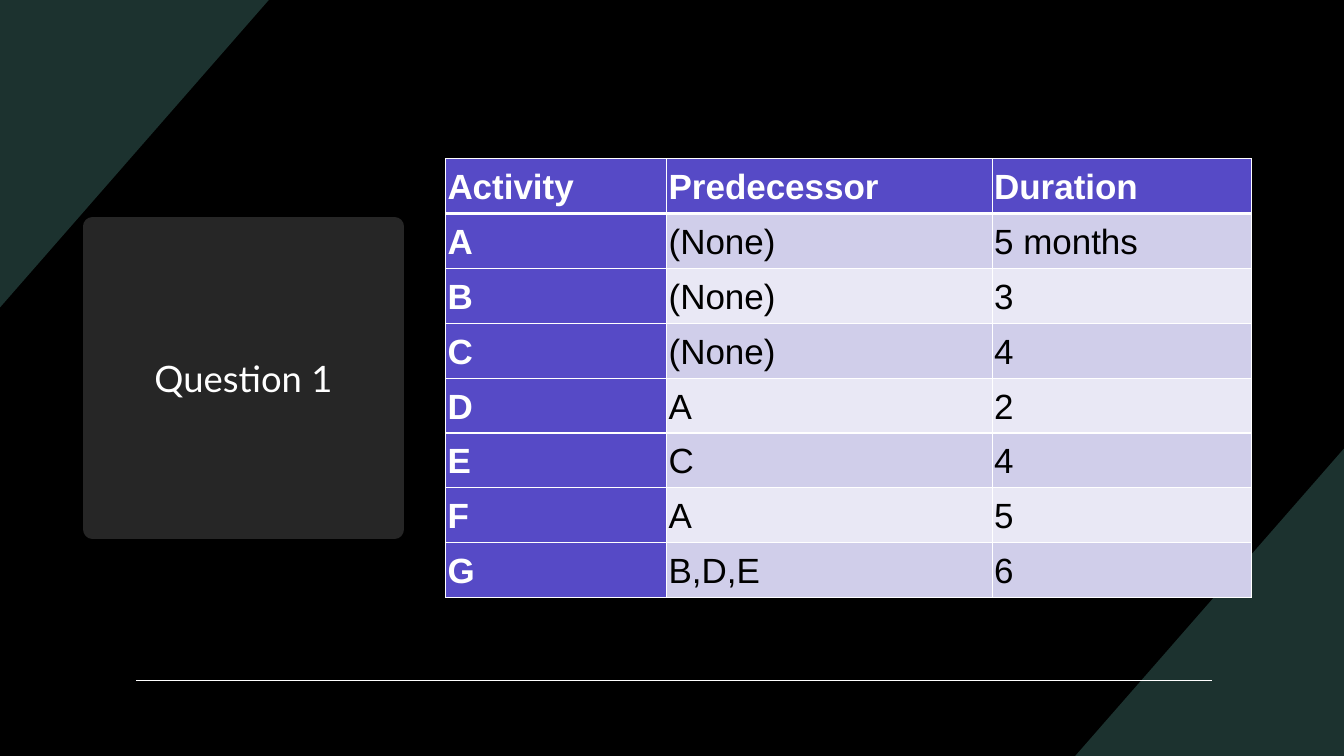
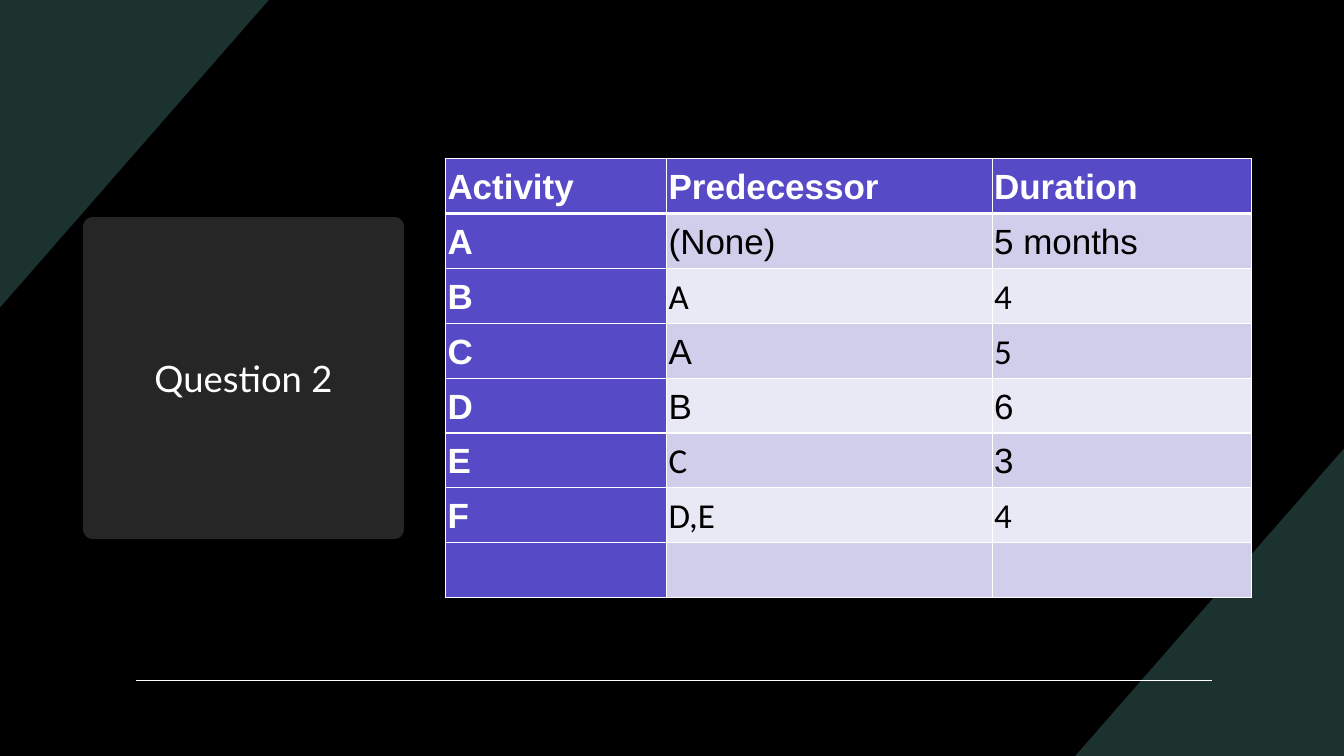
from pptx import Presentation
from pptx.dml.color import RGBColor
from pptx.enum.shapes import MSO_CONNECTOR, MSO_SHAPE
from pptx.enum.text import MSO_ANCHOR, PP_ALIGN
from pptx.oxml.ns import qn
from pptx.util import Pt
from lxml import etree

MIDDLE = MSO_ANCHOR.MIDDLE
CENTER, LEFT = PP_ALIGN.CENTER, PP_ALIGN.LEFT
RECT, STRAIGHT = MSO_SHAPE.RECTANGLE, MSO_CONNECTOR.STRAIGHT
WIDE, HIGH = 960, 540


class Theme:
    # Colours
    back, corner, panel = "000000", "1C322F", "262626"
    white, black = "FFFFFF", "000000"
    head, bands = "564AC6", ("D0CEEA", "E9E8F5")
    # Type
    title = {"name": "Lato", "size": Pt(26), "bold": False}
    label = {"name": "Arial", "size": Pt(25), "bold": True}
    value = {"name": "Arial", "size": Pt(25), "bold": False}
    other = {"name": "Calibri", "size": Pt(25), "bold": False}
    # Lines
    thin, thick, rim = 1, 3, 13.75


def put(item, values):
    for name, value in values.items():
        setattr(item, name, value)


def paint(fill, color):
    fill.solid()
    fill.fore_color.rgb = RGBColor.from_string(color)


class Deck:
    def __init__(self, theme):
        self.theme = theme
        self.file = Presentation()
        put(self.file, {"slide_width": Pt(WIDE), "slide_height": Pt(HIGH)})

    def page(self, title, rows, marks=()):
        self.slide = self.file.slides.add_slide(self.file.slide_layouts[6])
        paint(self.slide.background.fill, self.theme.back)
        # Shared frame
        self.corner(WIDE, HIGH, -1)
        self.corner(0, 0, 1)
        self.rule(97.2, 865.4, 486)
        # Content
        self.title(title)
        self.table(rows, marks)

    def corner(self, x, y, way):
        """Draw a triangle that fills a slide corner; way points inward."""
        build = self.slide.shapes.build_freeform(Pt(x), Pt(y))
        build.add_line_segments([(Pt(x + way * 192), Pt(y)),
                                 (Pt(x), Pt(y + way * 219.6))])
        shape = build.convert_to_shape()
        shape.shadow.inherit = False
        paint(shape.fill, self.theme.corner)
        shape.line.fill.background()

    def rule(self, left, right, y):
        line = self.slide.shapes.add_connector(
            STRAIGHT, Pt(left), Pt(y), Pt(right), Pt(y))
        paint(line.line.fill, self.theme.white)
        line.line.width = Pt(self.theme.thin)
        etree.SubElement(line._element.spPr, qn("a:effectLst"))

    def title(self, text):
        shape = self.slide.shapes.add_shape(
            RECT, Pt(66), Pt(162), Pt(216), Pt(216))
        shape.shadow.inherit = False
        paint(shape.fill, self.theme.panel)
        # The thick rim with round joins softens the panel's corners
        paint(shape.line.fill, self.theme.panel)
        shape.line.width = Pt(self.theme.rim)
        etree.SubElement(shape.line._get_or_add_ln(), qn("a:round"))
        put(shape.text_frame, {"word_wrap": True, "vertical_anchor": MIDDLE})
        self.text(shape.text_frame, text, self.theme.title,
                  self.theme.white, {"alignment": CENTER})

    def text(self, frame, words, font, color, layout):
        para = frame.paragraphs[0]
        put(para, layout)
        run = para.add_run()
        run.text = words
        put(run.font, font)
        run.font.color.rgb = RGBColor.from_string(color)

    def table(self, rows, marks):
        """Fill the grid; marks lists the (row, column) cells in the other font."""
        theme, widths, step = self.theme, (158, 232.5, 185), 39.2
        table = self.slide.shapes.add_table(
            len(rows), len(widths), Pt(318.2), Pt(113.4),
            Pt(sum(widths)), Pt(step * len(rows))).table
        put(table, {"first_row": False, "horz_banding": False})
        for col, width in zip(table.columns, widths):
            col.width = Pt(width)
        for i, row in enumerate(rows):
            table.rows[i].height = Pt(step)
            for j, words in enumerate(row):
                head = i == 0 or j == 0
                fill = theme.head if head else theme.bands[(i - 1) % 2]
                font = (theme.label if head else
                        theme.other if (i, j) in marks else theme.value)
                cell = table.cell(i, j)
                self.cell(cell, fill, i)
                if words:
                    self.text(cell.text_frame, words, font,
                              theme.white if head else theme.black,
                              {"alignment": LEFT, "line_spacing": 1.07})

    def cell(self, cell, fill, row):
        sides = ("left", "right", "top", "bottom")
        put(cell, {"margin_" + side: Pt(1.5) for side in sides})
        cell.vertical_anchor = MIDDLE
        paint(cell.fill, fill)
        # Borders come before the fill; the header's lower edge is thick
        props = cell._tc.get_or_add_tcPr()
        for k, side in enumerate("LRTB"):
            edge = (row, side) in ((0, "B"), (1, "T"))
            width = self.theme.thick if edge else self.theme.thin
            line = etree.Element(qn("a:ln" + side), w=str(int(Pt(width))))
            solid = etree.SubElement(line, qn("a:solidFill"))
            etree.SubElement(solid, qn("a:srgbClr"), val=self.theme.white)
            props.insert(k, line)


HEADS = ("Activity", "Predecessor", "Duration")

deck = Deck(Theme)

# Question 1
deck.page("Question 1", [
    HEADS,
    ("A", "(None)", "5 months"),
    ("B", "(None)", "3"),
    ("C", "(None)", "4"),
    ("D", "A", "2"),
    ("E", "C", "4"),
    ("F", "A", "5"),
    ("G", "B,D,E", "6"),
])

# Question 2
deck.page("Question 2", [
    HEADS,
    ("A", "(None)", "5 months"),
    ("B", "A", "4"),
    ("C", "A", "5"),
    ("D", "B", "6"),
    ("E", "C", "3"),
    ("F", "D,E", "4"),
    ("", "", ""),
], marks={(2, 1), (2, 2), (3, 2), (5, 1), (6, 1), (6, 2)})

deck.file.save("out.pptx")
